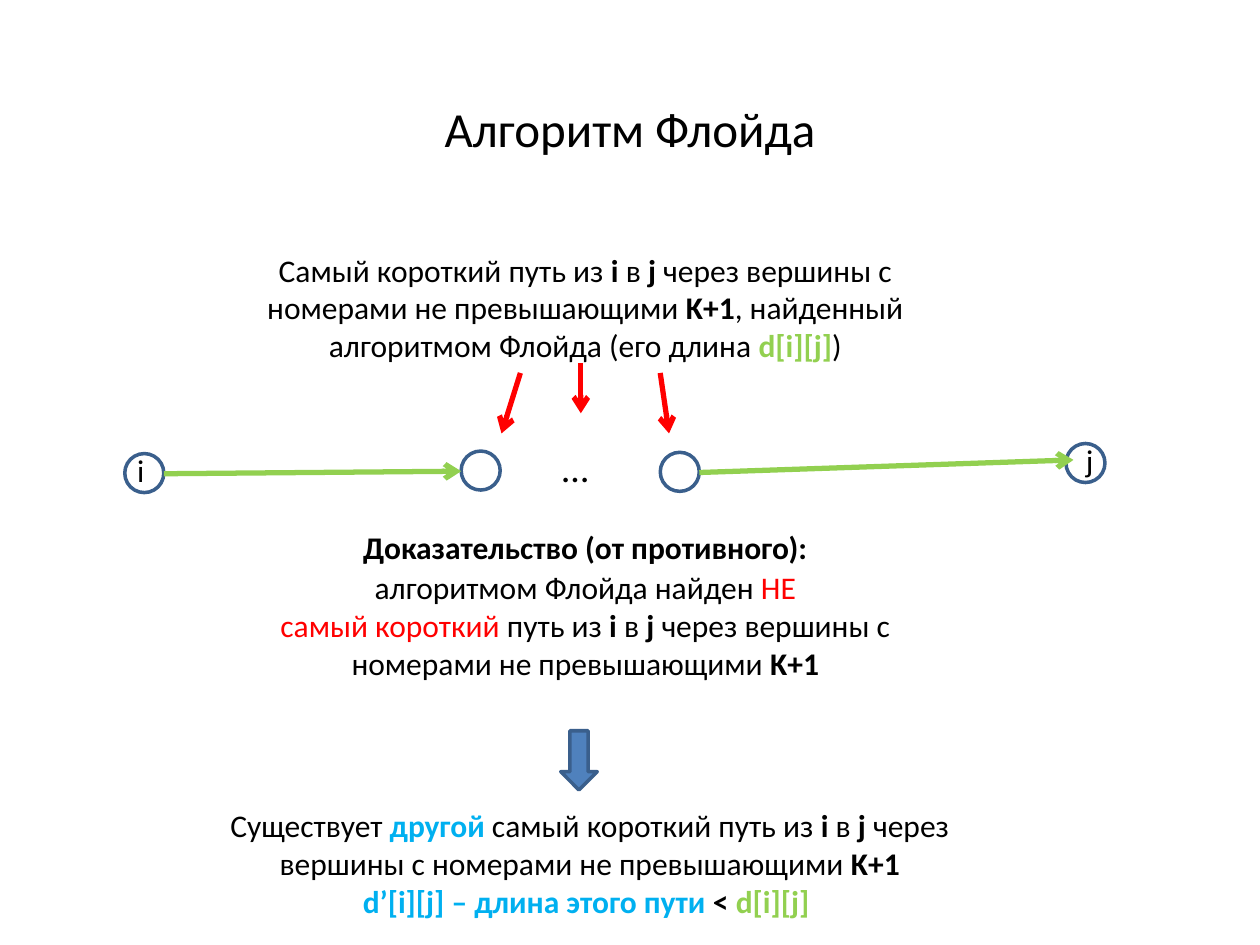
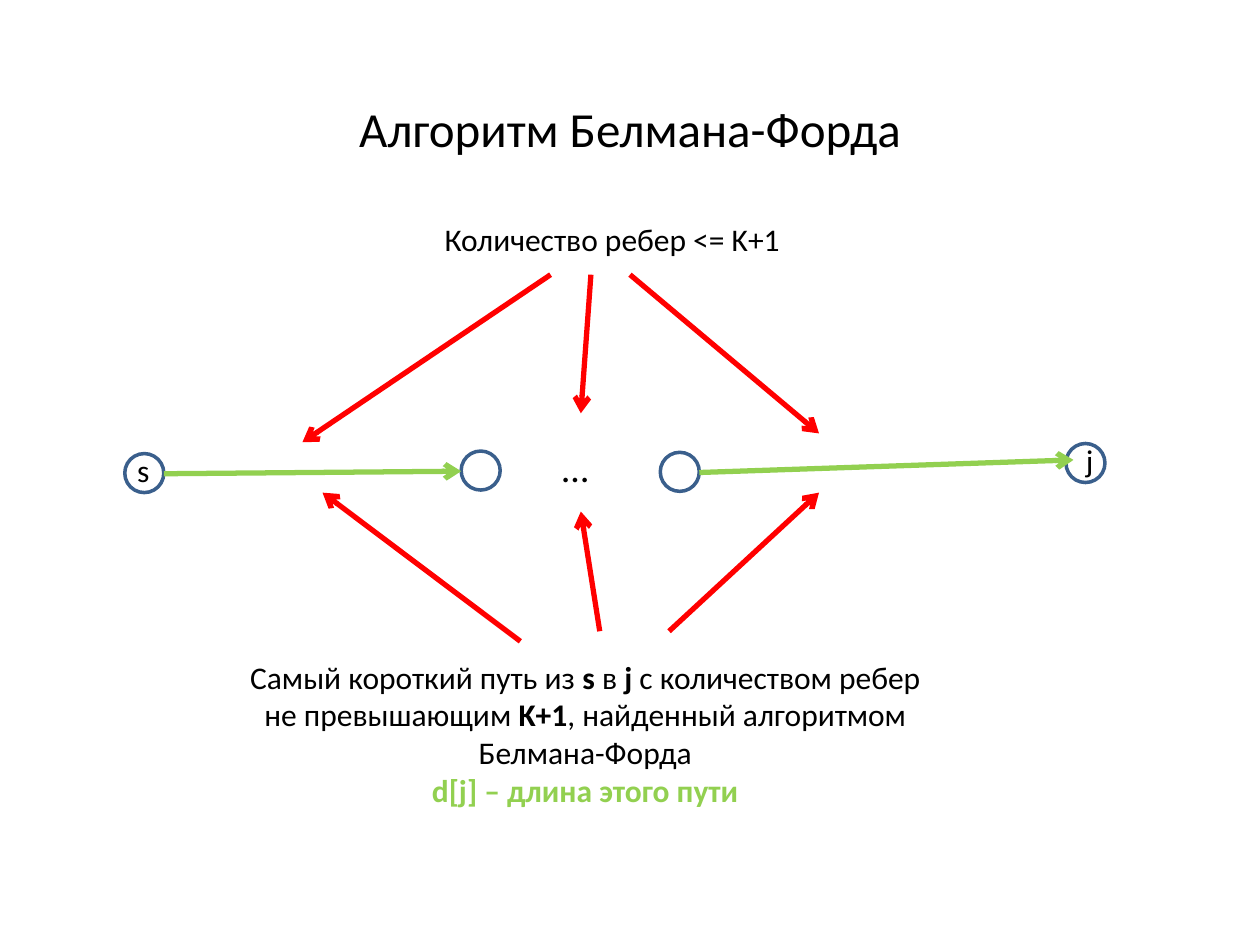
from dataclasses import dataclass
from typing import NamedTuple

from lxml import etree
from pptx import Presentation
from pptx import util as u
from pptx.dml.color import RGBColor
from pptx.enum import shapes, text
from pptx.oxml import ns


@dataclass(frozen=True)
class Theme:
    font: str = "Calibri"
    ink: str = "000000"
    paper: str = "FFFFFF"
    outline: str = "3A5F8C"
    block: str = "4F81BD"
    found: str = "92D050"
    pointer: str = "FF0000"
    other: str = "00B0F0"
    title_size: float = 28
    body_size: float = 18
    dots_size: float = 21.7
    outline_width: float = 2
    arrow_width: float = 3


THEME = Theme()


class Span(NamedTuple):
    words: str
    bold: bool = False
    color: str = THEME.ink


class Box(NamedTuple):
    left: float
    top: float
    width: float
    height: float


class Arrow(NamedTuple):
    start: tuple[float, float]
    tip: tuple[float, float]
    color: str = THEME.pointer


@dataclass(frozen=True)
class Note:
    box: Box
    lines: list[list[Span]]
    size: float = THEME.body_size
    centered: bool = True
    wrap: bool = True
    middle: bool = False


VERTEX_SIZE = 0.31
VERTICES = [(0.99, 3.6), (8.46, 3.52), (3.66, 3.58), (5.24, 3.59)]
EDGES = [
    Arrow((1.3, 3.76), (3.66, 3.74), THEME.found),
    Arrow((5.55, 3.75), (8.52, 3.65), THEME.found),
]
TITLE_BOX = Box(0.75, 0.21, 8.5, 1.61)
NOTE_LEFT, NOTE_WIDTH = 1.85, 5.59


def inches(values) -> list[int]:
    return [u.Inches(value) for value in values]


def write(frame, note: Note) -> None:
    frame.word_wrap = note.wrap
    frame.auto_size = text.MSO_AUTO_SIZE.NONE
    frame.vertical_anchor = text.MSO_ANCHOR.MIDDLE if note.middle else text.MSO_ANCHOR.TOP
    for index, spans in enumerate(note.lines):
        paragraph = frame.add_paragraph() if index else frame.paragraphs[0]
        paragraph.alignment = text.PP_ALIGN.CENTER if note.centered else text.PP_ALIGN.LEFT
        for span in spans:
            run = paragraph.add_run()
            run.text = span.words
            run.font.name = THEME.font
            run.font.size = u.Pt(note.size)
            run.font.bold = span.bold
            run.font.color.rgb = RGBColor.from_string(span.color)


def add_note(slide, note: Note) -> None:
    write(slide.shapes.add_textbox(*inches(note.box)).text_frame, note)


def add_label(slide, words: str, box: Box) -> None:
    add_note(slide, Note(box, [[Span(words)]], centered=False, wrap=False))


def add_outlined(slide, kind, box: Box, fill: str) -> None:
    figure = slide.shapes.add_shape(kind, *inches(box))
    figure.shadow.inherit = False
    figure.fill.solid()
    figure.fill.fore_color.rgb = RGBColor.from_string(fill)
    figure.line.color.rgb = RGBColor.from_string(THEME.outline)
    figure.line.width = u.Pt(THEME.outline_width)


def add_arrow(slide, arrow: Arrow) -> None:
    connector = slide.shapes.add_connector(
        shapes.MSO_CONNECTOR.STRAIGHT, *inches(arrow.start + arrow.tip))
    connector.line.color.rgb = RGBColor.from_string(arrow.color)
    connector.line.width = u.Pt(THEME.arrow_width)
    etree.SubElement(connector.line._get_or_add_ln(), ns.qn("a:tailEnd"), type="arrow")
    etree.SubElement(connector._element.spPr, ns.qn("a:effectLst"))


def add_path_slide(deck, title: str, source: str, source_width: float,
                   pointers: list[Arrow], notes: list[Note]):
    slide = deck.slides.add_slide(deck.slide_layouts.get_by_name("Title Only"))
    heading = slide.shapes.title
    heading.left, heading.top, heading.width, heading.height = inches(TITLE_BOX)
    write(heading.text_frame,
          Note(TITLE_BOX, [[Span(title)]], THEME.title_size, middle=True))
    for left, top in VERTICES:
        add_outlined(slide, shapes.MSO_SHAPE.OVAL,
                     Box(left, top, VERTEX_SIZE, VERTEX_SIZE), THEME.paper)
    add_label(slide, "j", Box(8.52, 3.45, 0.26, 0.4))
    add_label(slide, source, Box(0.99, 3.53, source_width, 0.4))
    for arrow in EDGES + pointers:
        add_arrow(slide, arrow)
    add_note(slide, Note(Box(4.21, 3.51, 0.71, 0.39), [[Span("…")]],
                         THEME.dots_size, middle=True))
    for note in notes:
        add_note(slide, note)
    return slide


def route(source: str) -> list[Span]:
    return [Span(f"{source} ", True), Span("в "), Span("j ", True)]


def note_box(top: float, height: float) -> Box:
    return Box(NOTE_LEFT, top, NOTE_WIDTH, height)


def build_floyd(deck) -> None:
    limit = [Span("через вершины с номерами не превышающими "), Span("K+1", True)]
    found = [
        Span("Самый короткий путь из "), *route("i"), *limit,
        Span(", найденный алгоритмом Флойда (его длина "),
        Span("d[i][j]", True, THEME.found), Span(")"),
    ]
    assumption = [
        [Span("алгоритмом Флойда найден "), Span("НЕ", color=THEME.pointer)],
        [Span("самый короткий ", color=THEME.pointer), Span("путь из "),
         *route("i"), *limit],
    ]
    consequence = [
        [Span("Существует "), Span("другой", True, THEME.other),
         Span(" самый короткий путь из "), *route("i"), *limit],
        [Span("d’[i][j] – длина этого пути ", True, THEME.other),
         Span("< ", True), Span("d[i][j] ", True, THEME.found)],
    ]
    pointers = [
        Arrow((5.24, 2.96), (5.31, 3.44)),
        Arrow((4.13, 2.96), (3.98, 3.44)),
        Arrow((4.61, 2.88), (4.61, 3.28)),
    ]
    slide = add_path_slide(deck, "Алгоритм Флойда", "i", 0.26, pointers, [
        Note(note_box(1.94, 1.01), [found]),
        Note(note_box(4.46, 1.01), assumption),
        Note(note_box(4.14, 0.4), [[Span("Доказательство (от противного):", True)]]),
        Note(Box(1.69, 6.35, 5.98, 1.01), consequence),
    ])
    add_outlined(slide, shapes.MSO_SHAPE.DOWN_ARROW,
                 Box(4.45, 5.8, 0.29, 0.47), THEME.block)


def build_bellman_ford(deck) -> None:
    found = [
        [Span("Самый короткий путь из "), *route("s"),
         Span("с количеством ребер не превышающим "), Span("K+1", True),
         Span(", найденный алгоритмом Белмана-Форда")],
        [Span("d[j] – длина этого пути", True, THEME.found)],
    ]
    pointers = [
        Arrow((5, 2.18), (6.5, 3.44)),
        Arrow((4.37, 2.18), (2.4, 3.51)),
        Arrow((4.69, 2.18), (4.61, 3.28)),
        Arrow((4.13, 5.09), (2.56, 3.91)),
        Arrow((5.31, 5.01), (6.5, 3.91)),
        Arrow((4.76, 5.01), (4.61, 4.06)),
    ]
    slide = add_path_slide(deck, "Алгоритм Белмана-Форда", "s", 0.3, pointers,
                           [Note(note_box(5.17, 1.31), found)])
    add_label(slide, "Количество ребер <= K+1", Box(3.43, 1.7, 2.9, 0.4))


def main() -> None:
    deck = Presentation()
    deck.slide_width, deck.slide_height = inches((10, 7.5))
    build_floyd(deck)
    build_bellman_ford(deck)
    deck.save("out.pptx")


if __name__ == "__main__":
    main()
